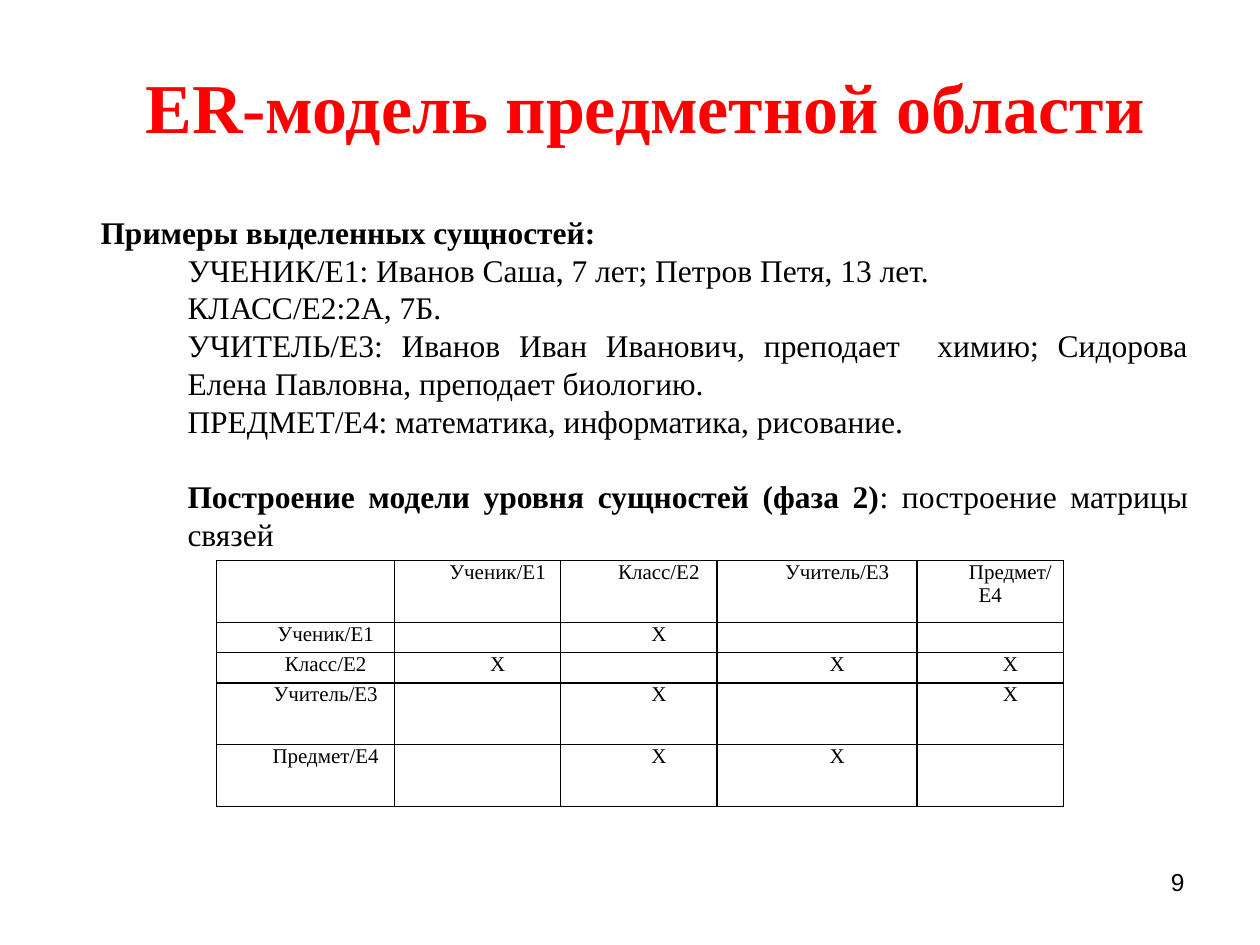
from lxml.etree import SubElement
from pptx import Presentation
from pptx.dml.color import RGBColor
from pptx.enum.text import MSO_ANCHOR, PP_ALIGN
from pptx.oxml.ns import qn
from pptx.util import Inches, Pt

COLORS = {"title": "FF0000", "text": "000000", "border": "000000"}
SERIF = "Times New Roman"
BODY_INDENT = 0.69

EXAMPLES = [
    "УЧЕНИК/E1: Иванов Саша, 7 лет; Петров Петя, 13 лет.",
    "КЛАСС/E2:2А, 7Б.",
    "УЧИТЕЛЬ/E3: Иванов Иван Иванович, преподает  химию; "
    "Сидорова Елена Павловна, преподает биологию.",
    "ПРЕДМЕТ/E4: математика, информатика, рисование.",
]
LINK_MATRIX = [
    ["", "Ученик/Е1", "Класс/Е2", "Учитель/Е3", "Предмет/E4"],
    ["Ученик/Е1", "", "Х", "", ""],
    ["Класс/Е2", "Х", "", "Х", "Х"],
    ["Учитель/Е3", "", "Х", "", "Х"],
    ["Предмет/Е4", "", "Х", "Х", ""],
]
COLUMN_WIDTHS = [1.41, 1.32, 1.24, 1.59, 1.16]
ROW_HEIGHTS = [0.49, 0.24, 0.24, 0.49, 0.49]


def format_font(run, size, color="text", bold=False, name=SERIF):
    run.font.name = name
    run.font.size = Pt(size)
    run.font.bold = bold
    run.font.color.rgb = RGBColor.from_string(COLORS[color])


def set_indent(paragraph, left=0, first=0):
    properties = paragraph._p.get_or_add_pPr()
    properties.set("marL", str(Inches(left)))
    properties.set("indent", str(Inches(first)))


def add_title(slide, text):
    title = slide.shapes.title
    title.left, title.top = Inches(0.62), Inches(0.41)
    title.width, title.height = Inches(9), Inches(0.85)
    frame = title.text_frame
    frame.text = text
    frame.vertical_anchor = MSO_ANCHOR.MIDDLE
    frame.paragraphs[0].alignment = PP_ALIGN.CENTER
    format_font(frame.paragraphs[0].runs[0], 40, "title", bold=True)


def add_text_frame(slide, left, top, width, height):
    box = slide.shapes.add_textbox(
        Inches(left), Inches(top), Inches(width), Inches(height))
    box.text_frame.word_wrap = True
    return box.text_frame


def write_body_paragraph(paragraph, parts, left=BODY_INDENT, first=0):
    """Fill a justified paragraph from (text, bold) parts."""
    paragraph.alignment = PP_ALIGN.JUSTIFY
    set_indent(paragraph, left, first)
    for text, bold in parts:
        run = paragraph.add_run()
        run.text = text
        format_font(run, 18, bold=bold)


def add_body(slide):
    frame = add_text_frame(slide, 0.7, 1.64, 8.83, 2.83)
    write_body_paragraph(frame.paragraphs[0],
                         [("Примеры выделенных сущностей:", True)], 0.29, -0.29)
    for example in EXAMPLES:
        write_body_paragraph(frame.add_paragraph(), [(example, False)])
    phase = frame.add_paragraph()
    write_body_paragraph(phase, [
        ("Построение модели уровня сущностей (фаза 2)", True),
        (": построение матрицы связей", False)])
    phase.space_before = Pt(21.5)


def add_borders(cell):
    properties = cell._tc.get_or_add_tcPr()
    for position, side in enumerate(("lnL", "lnR", "lnT", "lnB")):
        line = SubElement(properties, qn(f"a:{side}"), w=str(Pt(1)))
        fill = SubElement(line, qn("a:solidFill"))
        SubElement(fill, qn("a:srgbClr"), val=COLORS["border"])
        properties.insert(position, line)


def fill_cell(cell, text):
    cell.fill.background()
    cell.margin_left = cell.margin_right = Inches(0.07)
    cell.margin_top = cell.margin_bottom = 0
    add_borders(cell)
    paragraph = cell.text_frame.paragraphs[0]
    paragraph.alignment = PP_ALIGN.CENTER
    set_indent(paragraph, first=0.32)
    if text:
        paragraph.text = text
        format_font(paragraph.runs[0], 12)
    else:
        # Keeps an empty cell from stretching its row
        SubElement(paragraph._p, qn("a:endParaRPr"), sz="1200")


def add_link_matrix(slide):
    matrix = slide.shapes.add_table(
        len(ROW_HEIGHTS), len(COLUMN_WIDTHS), Inches(1.72), Inches(4.45),
        Inches(sum(COLUMN_WIDTHS)), Inches(sum(ROW_HEIGHTS))).table
    matrix.first_row = matrix.horz_banding = False
    for column, width in zip(matrix.columns, COLUMN_WIDTHS):
        column.width = Inches(width)
    for row, height, texts in zip(matrix.rows, ROW_HEIGHTS, LINK_MATRIX):
        row.height = Inches(height)
        for cell, text in zip(row.cells, texts):
            fill_cell(cell, text)


def add_page_number(slide, number):
    frame = add_text_frame(slide, 7.17, 6.83, 2.33, 0.52)
    frame.text = number
    frame.paragraphs[0].alignment = PP_ALIGN.RIGHT
    format_font(frame.paragraphs[0].runs[0], 14, name="Arial")


def main():
    presentation = Presentation()
    presentation.slide_width, presentation.slide_height = Inches(10), Inches(7.5)
    slide = presentation.slides.add_slide(presentation.slide_layouts[5])
    add_page_number(slide, "9")
    add_title(slide, "ER-модель предметной области")
    add_body(slide)
    add_link_matrix(slide)
    presentation.save("out.pptx")


if __name__ == "__main__":
    main()
